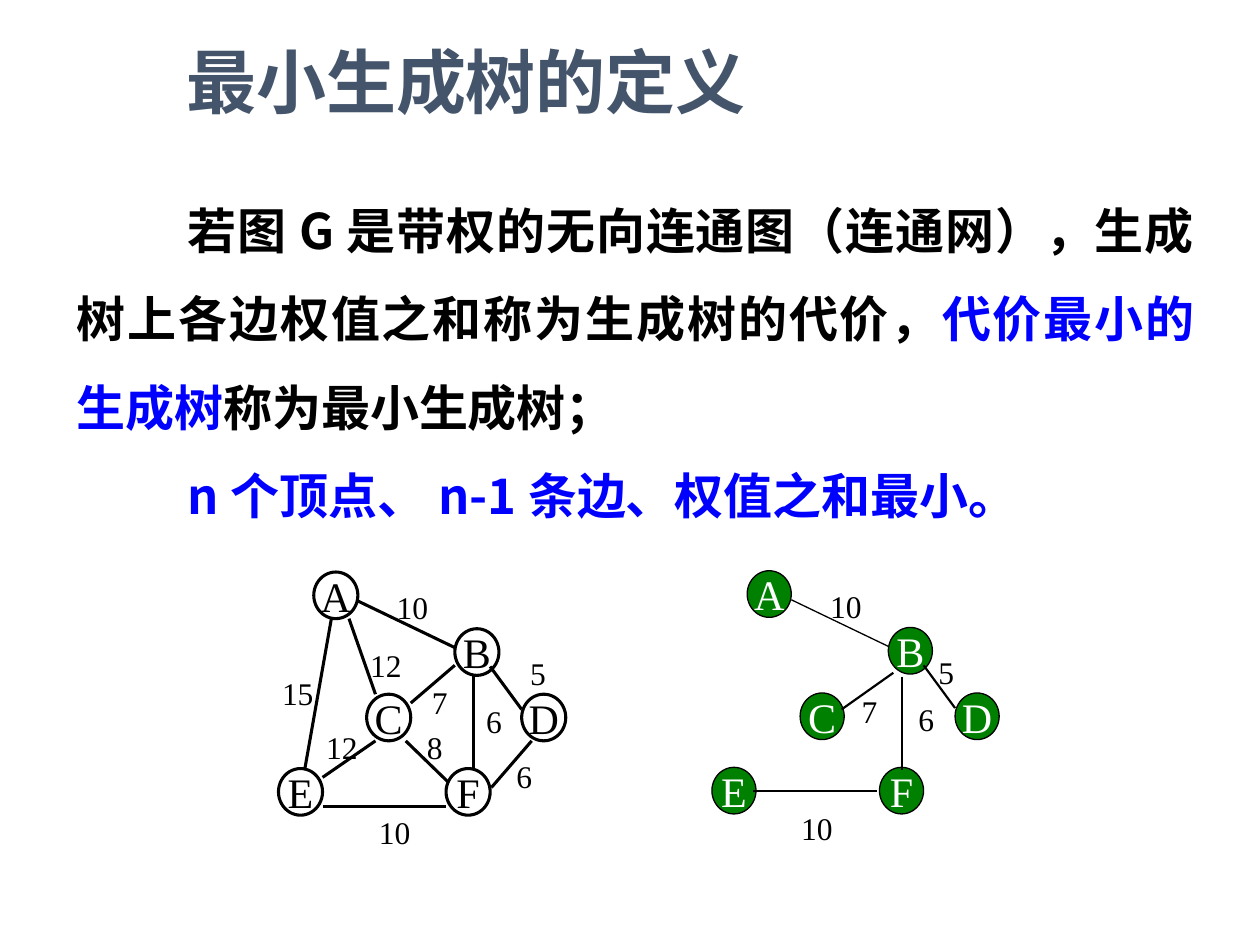
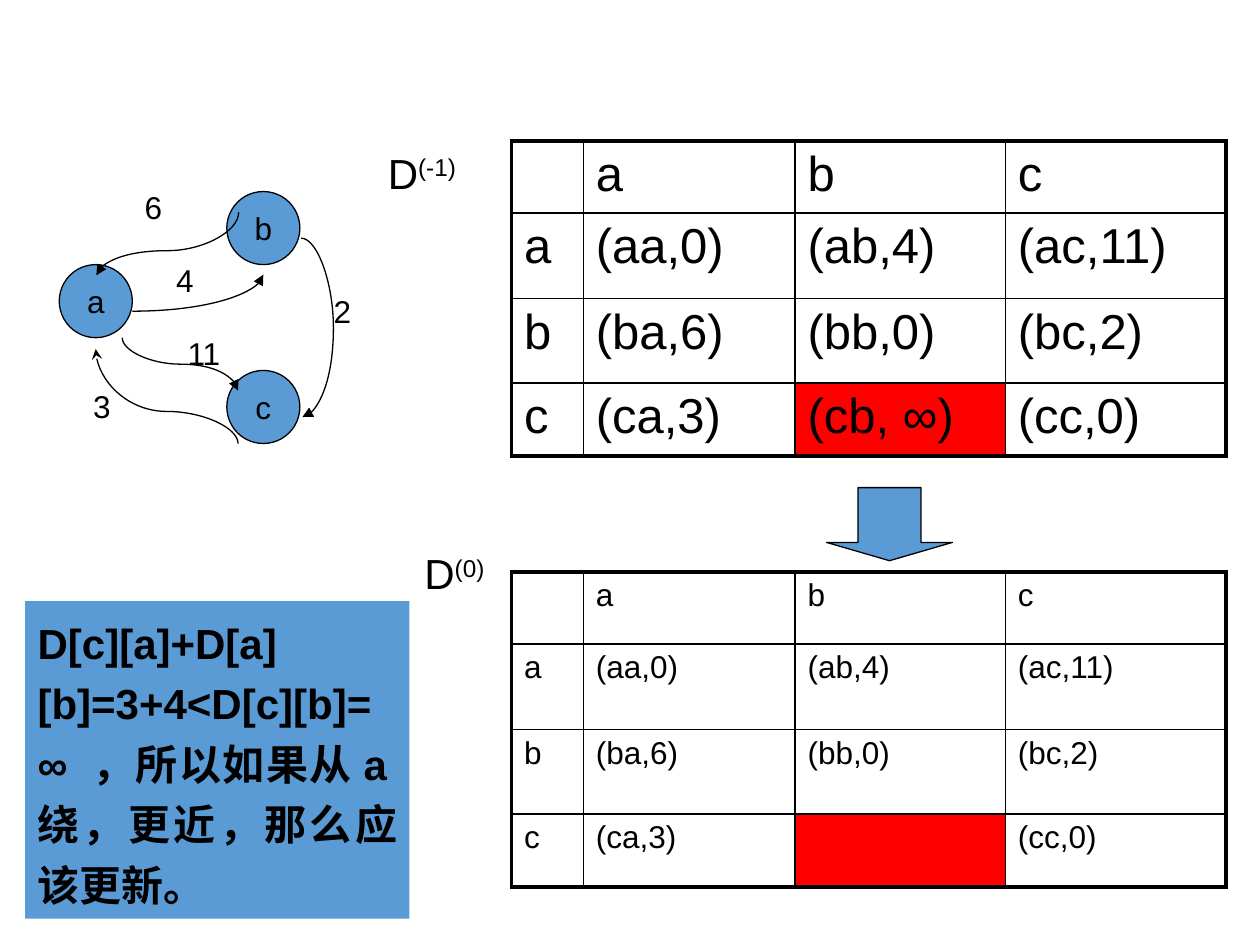
from dataclasses import dataclass
from typing import Any, NamedTuple

import lxml.etree
import pptx
import pptx.dml.color
import pptx.enum.shapes
import pptx.enum.text
import pptx.oxml.ns
import pptx.util

Inches = pptx.util.Inches
Pt = pptx.util.Pt
qn = pptx.oxml.ns.qn
Shapes = pptx.enum.shapes.MSO_SHAPE
Connectors = pptx.enum.shapes.MSO_CONNECTOR
Align = pptx.enum.text.PP_ALIGN


@dataclass(frozen=True)
class Theme:
    black: str = "000000"
    white: str = "FFFFFF"
    title: str = "44546A"
    emphasis: str = "0000FF"
    tree: str = "008000"
    blue: str = "5B9BD5"
    changed: str = "FF0000"
    sans: str = "Arial"
    serif: str = "Times New Roman"
    chinese: str = "Noto Sans CJK SC"
    title_size: int = 40
    body_size: int = 28
    symbol_size: int = 24
    label_size: int = 18
    thin: float = 0.75


THEME = Theme()


class Style(NamedTuple):
    size: int
    font: str = THEME.sans
    color: str = THEME.black
    bold: bool = False


class Box(NamedTuple):
    left: float
    top: float
    width: float
    height: float

    def lengths(self) -> list[int]:
        return [Inches(value) for value in self]


class Edge(NamedTuple):
    x1: float
    y1: float
    x2: float
    y2: float
    width: float = 1.75


class Label(NamedTuple):
    text: str
    left: float
    top: float


class Curve(NamedTuple):
    box: Box
    rotation: int
    flips: str
    preset: str
    bend: float | None = None
    arrow_end: str = "tailEnd"
    arrow: str = "triangle"


class Graph(NamedTuple):
    left: float
    top: float
    fill: str | None
    text_color: str
    outline: float
    edges: list[Edge]
    labels: list[Label]


class Matrix(NamedTuple):
    top: float
    size: int
    changed_value: str
    superscript: str
    caption: Box


VERTICES = {"A": (0.28, 0), "B": (1.4, 0.45), "C": (0.7, 0.97),
            "D": (1.93, 0.97), "E": (0, 1.56), "F": (1.33, 1.56)}

NETWORK = Graph(
    2.21, 4.54, None, THEME.black, 1.75,
    [Edge(2.63, 4.91, 2.42, 6.1), Edge(2.77, 4.91, 2.98, 5.51),
     Edge(2.98, 5.88, 2.56, 6.17), Edge(2.56, 6.4, 3.54, 6.4),
     Edge(2.84, 4.77, 3.61, 5.14), Edge(3.26, 5.58, 3.61, 5.28),
     Edge(3.76, 5.36, 3.76, 6.1), Edge(3.89, 5.29, 4.14, 5.63),
     Edge(3.9, 6.25, 4.22, 5.88), Edge(3.22, 5.88, 3.56, 6.21)],
    [Label("10", 3.05, 4.62), Label("10", 2.91, 6.4), Label("15", 2.14, 5.3),
     Label("12", 2.84, 5.08), Label("12", 2.49, 5.73), Label("8", 3.29, 5.73),
     Label("7", 3.33, 5.37), Label("6", 3.76, 5.52), Label("6", 4, 5.96),
     Label("5", 4.11, 5.14)])

SPANNING_TREE = Graph(
    5.65, 4.53, THEME.tree, THEME.white, THEME.thin,
    [Edge(6.28, 4.76, 7.05, 5.13, 0.75), Edge(6.68, 5.63, 7.09, 5.34, 1.25),
     Edge(7.16, 5.37, 7.16, 6.11, 1), Edge(7.33, 5.28, 7.58, 5.62, 1.25),
     Edge(5.98, 6.28, 6.96, 6.28, 1)],
    [Label("5", 7.35, 5.13), Label("10", 6.49, 4.61), Label("7", 6.74, 5.44),
     Label("6", 7.19, 5.51), Label("10", 6.26, 6.37)])

DIGRAPH_NODES = {"a": (0.47, 2.1), "b": (1.8, 1.52), "c": (1.8, 2.94)}
DIGRAPH_CURVES = [
    Curve(Box(1.05, 2.18, 1.04, 0.29), 0, "V", "curvedConnector2"),
    Curve(Box(1.08, 1.37, 0.5, 1.13), 270, "HV", "curvedConnector3", 0.61),
    Curve(Box(1.22, 2.43, 0.42, 0.92), 90, "V", "curvedConnector3", 0.5),
    Curve(Box(0.95, 2.58, 0.75, 1.13), 90, "V", "curvedConnector3", 0.66,
          "headEnd", "stealth"),
    Curve(Box(2.39, 1.89, 0.01, 1.42), 0, "", "curvedConnector3", 26)]
DIGRAPH_LABELS = [Label("11", 1.39, 2.6), Label("6", 1.05, 1.44), Label("4", 1.3, 2.02),
                  Label("2", 2.55, 2.27), Label("3", 0.64, 3.02)]

MATRICES = [Matrix(1.12, THEME.body_size, "(cb, ∞)", "(-1)", Box(2.98, 1.12, 1, 0.5)),
            Matrix(4.54, THEME.label_size, "", "(0)", Box(3.27, 4.3, 1, 0.5))]
COLUMN_WIDTHS = [0.57, 1.68, 1.67, 1.75]
ROW_HEIGHTS = [0.57, 0.68, 0.67, 0.58]


def rgb(color: str) -> pptx.dml.color.RGBColor:
    return pptx.dml.color.RGBColor.from_string(color)


def style_run(run: Any, style: Style) -> None:
    run.font.size = Pt(style.size)
    run.font.bold = style.bold
    run.font.name = style.font
    run.font.color.rgb = rgb(style.color)
    properties = run._r.get_or_add_rPr()
    east_asian = lxml.etree.SubElement(properties, qn("a:ea"))
    east_asian.set("typeface", THEME.chinese)


def style_text(text_frame: Any, style: Style, alignment: Any = Align.LEFT) -> None:
    for paragraph in text_frame.paragraphs:
        paragraph.alignment = alignment
        for run in paragraph.runs:
            style_run(run, style)


def add_text(shapes: Any, box: Box, text: str, style: Style) -> Any:
    text_frame = shapes.add_textbox(*box.lengths()).text_frame
    text_frame.word_wrap = True
    text_frame.text = text
    style_text(text_frame, style)
    return text_frame


def add_shape(shapes: Any, kind: Any, box: Box, fill: str | None, outline: float) -> Any:
    shape = shapes.add_shape(kind, *box.lengths())
    shape.shadow.inherit = False
    if fill:
        shape.fill.solid()
        shape.fill.fore_color.rgb = rgb(fill)
    else:
        shape.fill.background()
    if outline:
        shape.line.color.rgb = rgb(THEME.black)
        shape.line.width = Pt(outline)
    else:
        shape.line.fill.background()
    return shape


def add_node(shapes: Any, name: str, box: Box, fill: str | None,
             outline: float, style: Style) -> None:
    shape = add_shape(shapes, Shapes.OVAL, box, fill, outline)
    text_frame = shape.text_frame
    text_frame.text = name
    text_frame.word_wrap = False
    text_frame.vertical_anchor = pptx.enum.text.MSO_ANCHOR.MIDDLE
    style_text(text_frame, style, Align.CENTER)


def add_edge(shapes: Any, kind: Any, edge: Edge) -> Any:
    ends = [Inches(value) for value in edge[:4]]
    connector = shapes.add_connector(kind, *ends)
    connector.line.color.rgb = rgb(THEME.black)
    connector.line.width = Pt(edge.width)
    lxml.etree.SubElement(connector._element.spPr, qn("a:effectLst"))
    return connector


def add_curve(shapes: Any, curve: Curve) -> None:
    left, top, width, height = curve.box
    edge = Edge(left, top, left + width, top + height, THEME.thin)
    connector = add_edge(shapes, Connectors.CURVE, edge)
    properties = connector._element.spPr
    transform = properties.find(qn("a:xfrm"))
    transform.set("rot", str(curve.rotation * 60000))
    for axis in curve.flips:
        transform.set(f"flip{axis}", "1")
    geometry = properties.find(qn("a:prstGeom"))
    geometry.set("prst", curve.preset)
    if curve.bend is not None:
        guide = lxml.etree.SubElement(geometry.find(qn("a:avLst")), qn("a:gd"))
        guide.set("name", "adj1")
        guide.set("fmla", f"val {round(curve.bend * 100000)}")
    line = properties.find(qn("a:ln"))
    lxml.etree.SubElement(line, qn(f"a:{curve.arrow_end}")).set("type", curve.arrow)


def add_labels(shapes: Any, labels: list[Label], width: float, font: str) -> None:
    for label in labels:
        box = Box(label.left, label.top, width, 0.4)
        add_text(shapes, box, label.text, Style(THEME.label_size, font))


def add_graph(slide: Any, graph: Graph) -> None:
    shapes = slide.shapes.add_group_shape().shapes
    style = Style(THEME.symbol_size, THEME.serif, graph.text_color)
    for name, (x, y) in VERTICES.items():
        box = Box(graph.left + x, graph.top + y, 0.35, 0.37)
        add_node(shapes, name, box, graph.fill, graph.outline, style)
    for edge in graph.edges:
        add_edge(shapes, Connectors.STRAIGHT, edge)
    add_labels(shapes, graph.labels, 0.56, THEME.serif)


def set_borders(cell: Any, row: int, column: int) -> None:
    last_row, last_column = len(ROW_HEIGHTS) - 1, len(COLUMN_WIDTHS) - 1
    outer = {"L": column == 0, "R": column == last_column,
             "T": row == 0, "B": row == last_row}
    for side, is_outer in outer.items():
        line = lxml.etree.SubElement(cell._tc.get_or_add_tcPr(), qn(f"a:ln{side}"))
        line.set("w", str(Pt(2.25 if is_outer else 1)))
        fill = lxml.etree.SubElement(line, qn("a:solidFill"))
        lxml.etree.SubElement(fill, qn("a:srgbClr")).set("val", THEME.black)


def add_matrix(slide: Any, matrix: Matrix) -> None:
    values = [["", "a", "b", "c"],
              ["a", "(aa,0)", "(ab,4)", "(ac,11)"],
              ["b", "(ba,6)", "(bb,0)", "(bc,2)"],
              ["c", "(ca,3)", matrix.changed_value, "(cc,0)"]]
    box = Box(4.06, matrix.top, sum(COLUMN_WIDTHS), sum(ROW_HEIGHTS))
    table = slide.shapes.add_table(4, 4, *box.lengths()).table
    table.first_row = table.horz_banding = False
    for column, width in zip(table.columns, COLUMN_WIDTHS):
        column.width = Inches(width)
    for row, height in zip(table.rows, ROW_HEIGHTS):
        row.height = Inches(height)
    for row, texts in enumerate(values):
        for column, text in enumerate(texts):
            cell = table.cell(row, column)
            cell.text = text
            style_text(cell.text_frame, Style(matrix.size))
            set_borders(cell, row, column)
            if (row, column) == (3, 2):
                cell.fill.solid()
                cell.fill.fore_color.rgb = rgb(THEME.changed)
            else:
                cell.fill.background()
    caption = add_text(slide.shapes, matrix.caption, "D", Style(THEME.symbol_size))
    run = caption.paragraphs[0].add_run()
    run.text = matrix.superscript
    style_run(run, Style(THEME.symbol_size))
    run._r.get_or_add_rPr().set("baseline", "30000")


def build_definition(slide: Any) -> None:
    add_graph(slide, NETWORK)
    add_graph(slide, SPANNING_TREE)
    title = add_text(slide.shapes, Box(1.38, 0.21, 6.31, 0.86), "最小生成树的定义",
                     Style(THEME.title_size, color=THEME.title, bold=True))
    title.vertical_anchor = pptx.enum.text.MSO_ANCHOR.MIDDLE
    plain = Style(THEME.body_size, THEME.chinese, bold=True)
    emphasis = plain._replace(color=THEME.emphasis)
    paragraphs = [
        [("若图G是带权的无向连通图（连通网），生成树上各边权值之和称为生成树的代价，", plain),
         ("代价最小的生成树", emphasis), ("称为最小生成树；", plain)],
        [("n个顶点、n-1条边、权值之和最小。", emphasis)]]
    body = slide.shapes.add_textbox(*Box(0.51, 1.31, 9.07, 2.93).lengths()).text_frame
    body.word_wrap = True
    body.add_paragraph()
    for paragraph, pieces in zip(body.paragraphs, paragraphs):
        paragraph.alignment = Align.JUSTIFY
        paragraph.line_spacing = 1.5
        paragraph._p.get_or_add_pPr().set("indent", str(Inches(0.88)))
        for text, style in pieces:
            run = paragraph.add_run()
            run.text = text
            style_run(run, style)


def build_shortest_paths(slide: Any) -> None:
    for name, (left, top) in DIGRAPH_NODES.items():
        add_node(slide.shapes, name, Box(left, top, 0.58, 0.58), THEME.blue,
                 THEME.thin, Style(THEME.label_size))
    for curve in DIGRAPH_CURVES:
        add_curve(slide.shapes, curve)
    add_labels(slide.shapes, DIGRAPH_LABELS, 0.5, THEME.sans)
    for matrix in MATRICES:
        add_matrix(slide, matrix)
    arrow = add_shape(slide.shapes, Shapes.DOWN_ARROW, Box(6.56, 3.87, 1, 0.58),
                      THEME.blue, THEME.thin)
    arrow.adjustments[1] = 0.25
    note = add_shape(slide.shapes, Shapes.RECTANGLE, Box(0.2, 4.77, 3.05, 2.52), THEME.blue, 0)
    note.text_frame.text = "D[c][a]+D[a][b]=3+4<D[c][b]= ∞ ，所以如果从a绕，更近，那么应该更新。"
    note.text_frame.vertical_anchor = pptx.enum.text.MSO_ANCHOR.TOP
    note.text_frame.paragraphs[0].line_spacing = 1.2
    style_text(note.text_frame, Style(THEME.symbol_size, bold=True), Align.JUSTIFY)


def main() -> None:
    presentation = pptx.Presentation()
    presentation.slide_width = Inches(10)
    presentation.slide_height = Inches(7.5)
    for build in (build_definition, build_shortest_paths):
        build(presentation.slides.add_slide(presentation.slide_layouts[6]))
    presentation.save("out.pptx")


if __name__ == "__main__":
    main()
